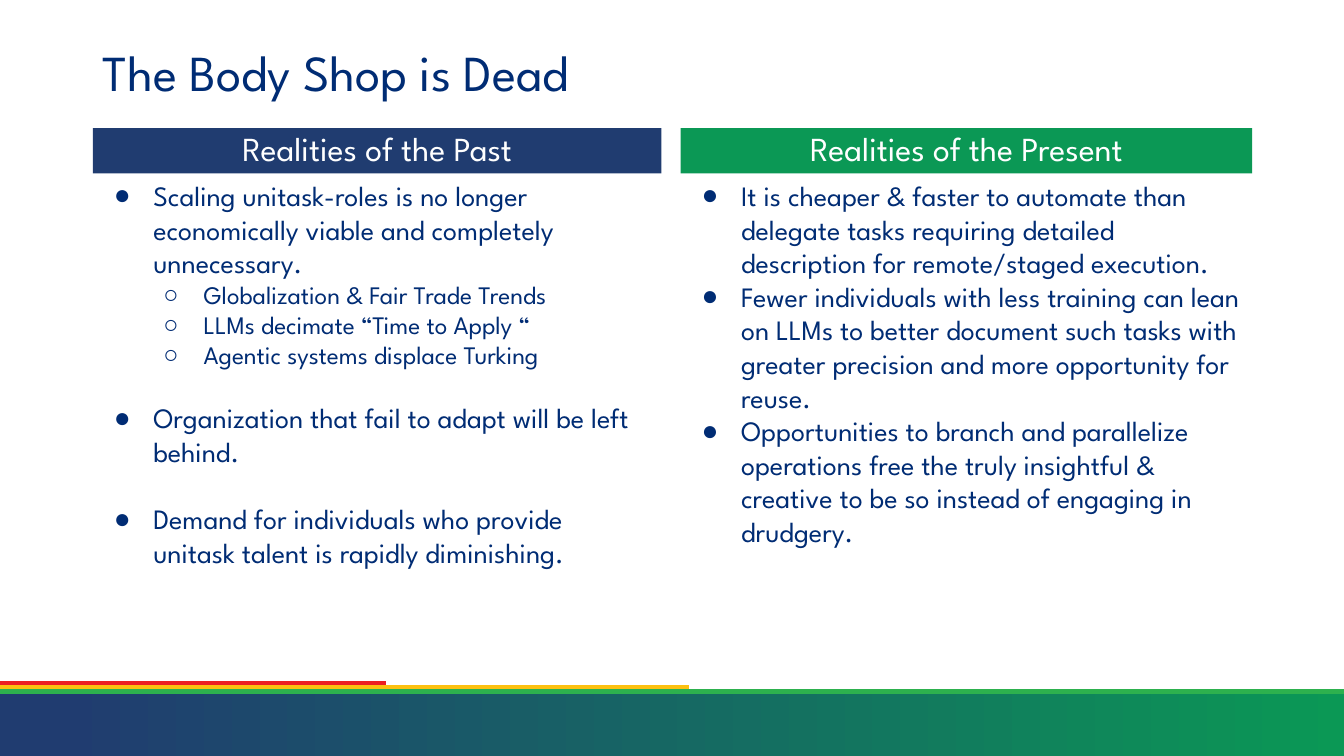
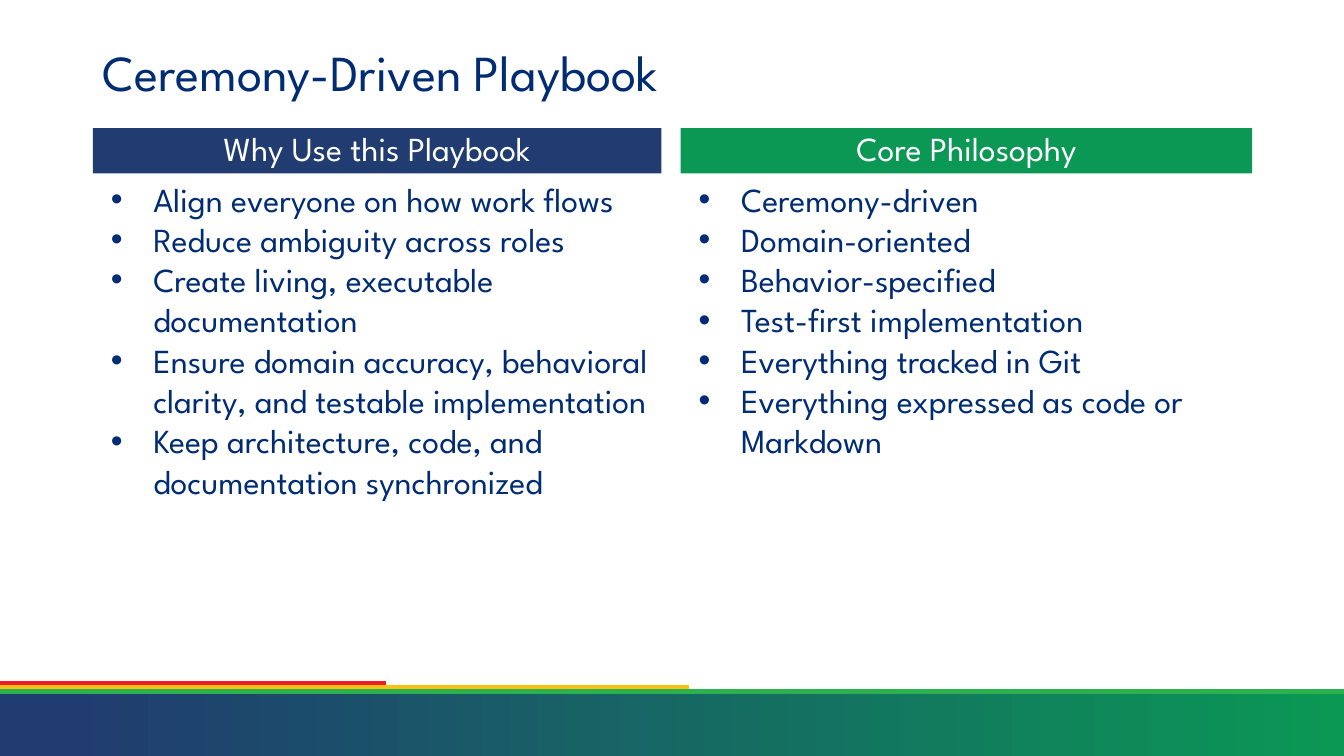
from dataclasses import dataclass

from lxml import etree
from pptx import Presentation
from pptx.dml.color import RGBColor
from pptx.enum import shapes, text
from pptx.oxml import ns
from pptx.util import Inches, Pt


@dataclass(frozen=True)
class Theme:
    font: str = "League Spartan"
    ink: RGBColor = RGBColor.from_string("002C74")
    navy: RGBColor = RGBColor.from_string("203C70")
    green: RGBColor = RGBColor.from_string("0B9855")
    white: RGBColor = RGBColor.from_string("FFFFFF")
    stripe_red: RGBColor = RGBColor.from_string("EC1E23")
    stripe_yellow: RGBColor = RGBColor.from_string("FCC010")
    stripe_green: RGBColor = RGBColor.from_string("2DB14E")
    title_size: int = 36
    header_size: int = 24
    large_size: int = 24
    body_size: int = 20
    sub_size: int = 18


theme = Theme()


def place(shape, left, top, width, height, anchor):
    shape.left, shape.top = Inches(left), Inches(top)
    shape.width, shape.height = Inches(width), Inches(height)
    frame = shape.text_frame
    frame.word_wrap = True
    frame.auto_size = text.MSO_AUTO_SIZE.NONE
    frame.vertical_anchor = anchor
    return frame


def write(paragraph, wording, size, color, alignment, line_spacing=1.0, space_before=0):
    paragraph.alignment = alignment
    paragraph.line_spacing = line_spacing
    paragraph.space_before = Pt(space_before)
    run = paragraph.add_run()
    run.text = wording
    run.font.name = theme.font
    run.font.size = Pt(size)
    run.font.bold = False
    run.font.color.rgb = color


round_bullet = dict(level=0, mark="●", margin=0.5, hanging=0.39, size=theme.body_size)
ring_bullet = dict(level=1, mark="○", margin=1, hanging=0.4, size=theme.sub_size)
dot_bullet = dict(level=0, mark="•", margin=0.5, hanging=0.42, size=theme.large_size)

deck = [
    ("The Body Shop is Dead", [
        ("Realities of the Past", [
            ("Scaling unitask-roles is no longer economically viable and completely unnecessary.", round_bullet, 0),
            ("Globalization & Fair Trade Trends", ring_bullet, 0),
            ("LLMs decimate “Time to Apply “", ring_bullet, 0),
            ("Agentic systems displace Turking", ring_bullet, 0),
            ("Organization that fail to adapt will be left behind.", round_bullet, 22),
            ("Demand for individuals who provide unitask talent is rapidly diminishing.", round_bullet, 24),
        ]),
        ("Realities of the Present", [
            ("It is cheaper & faster to automate than delegate tasks requiring detailed description for remote/staged execution.", round_bullet, 0),
            ("Fewer individuals with less training can lean on LLMs to better document such tasks with greater precision and more opportunity for reuse.", round_bullet, 0),
            ("Opportunities to branch and parallelize operations free the truly insightful & creative to be so instead of engaging in drudgery.", round_bullet, 0),
        ]),
    ]),
    ("Ceremony-Driven Playbook", [
        ("Why Use this Playbook", [
            ("Align everyone on how work flows", dot_bullet, 0),
            ("Reduce ambiguity across roles", dot_bullet, 0),
            ("Create living, executable documentation", dot_bullet, 0),
            ("Ensure domain accuracy, behavioral clarity, and testable implementation", dot_bullet, 0),
            ("Keep architecture, code, and documentation synchronized", dot_bullet, 0),
        ]),
        ("Core Philosophy", [
            ("Ceremony-driven", dot_bullet, 0),
            ("Domain-oriented", dot_bullet, 0),
            ("Behavior-specified", dot_bullet, 0),
            ("Test-first implementation", dot_bullet, 0),
            ("Everything tracked in Git", dot_bullet, 0),
            ("Everything expressed as code or Markdown", dot_bullet, 0),
        ]),
    ]),
]

columns = [
    dict(left=0.92, width=5.64, fill=theme.navy, header=1, body=2),
    dict(left=6.75, width=5.67, fill=theme.green, header=3, body=4),
]
stripes = [
    (6.78, 3.83, theme.stripe_red),
    (6.82, 6.83, theme.stripe_yellow),
    (6.86, 13.83, theme.stripe_green),
]

presentation = Presentation()
presentation.slide_width = Inches(13.33)
presentation.slide_height = Inches(7.5)
layout = presentation.slide_layouts.get_by_name("Comparison")
for placeholder in list(layout.placeholders):
    if placeholder.placeholder_format.idx >= 10:
        layout.shapes.element.remove(placeholder.element)

slides = [presentation.slides.add_slide(layout) for entry in deck]

footer_left = Inches(-0.17)
band = slides[0].shapes.add_shape(
    shapes.MSO_SHAPE.RECTANGLE, footer_left, Inches(6.85), Inches(13.52), Inches(0.7)
)
band.shadow.inherit = False
band.line.fill.background()
band.fill.gradient()
band.fill.gradient_angle = 0
for stop, position, color in zip(band.fill.gradient_stops, (0.06, 1), (theme.navy, theme.green)):
    stop.position = position
    stop.color.rgb = color
layout.shapes.element.append(band.element)

for top, right, color in stripes:
    stripe = slides[0].shapes.add_connector(
        shapes.MSO_CONNECTOR.STRAIGHT, footer_left, Inches(top), Inches(right), Inches(top)
    )
    stripe.line.color.rgb = color
    stripe.line.width = Pt(3)
    etree.SubElement(stripe.element.spPr, ns.qn("a:effectLst"))
    stripe.element.nvCxnSpPr.cNvPr.set("id", str(20 + len(layout.shapes)))
    layout.shapes.element.append(stripe.element)

for slide, (title, sections) in zip(slides, deck):
    frame = place(slide.shapes.title, 0.92, 0.4, 11.5, 0.7, text.MSO_ANCHOR.MIDDLE)
    write(frame.paragraphs[0], title, theme.title_size, theme.ink, text.PP_ALIGN.LEFT, 0.9)
    placeholders = {shape.placeholder_format.idx: shape for shape in slide.placeholders}

    for column, (heading, items) in zip(columns, sections):
        header = placeholders[column["header"]]
        frame = place(header, column["left"], 1.27, column["width"], 0.45, text.MSO_ANCHOR.BOTTOM)
        header.fill.solid()
        header.fill.fore_color.rgb = column["fill"]
        write(frame.paragraphs[0], heading, theme.header_size, theme.white, text.PP_ALIGN.CENTER, 0.8)

        body = placeholders[column["body"]]
        frame = place(body, column["left"], 1.72, column["width"], 4.95, text.MSO_ANCHOR.TOP)
        for index, (wording, bullet, space_before) in enumerate(items):
            paragraph = frame.add_paragraph() if index else frame.paragraphs[0]
            paragraph.level = bullet["level"]
            properties = paragraph._p.get_or_add_pPr()
            properties.set("marL", str(Inches(bullet["margin"])))
            properties.set("indent", str(-Inches(bullet["hanging"])))
            bullet_color = etree.SubElement(properties, ns.qn("a:buClr"))
            etree.SubElement(bullet_color, ns.qn("a:srgbClr"), val=str(theme.ink))
            etree.SubElement(properties, ns.qn("a:buChar"), char=bullet["mark"])
            write(paragraph, wording, bullet["size"], theme.ink, text.PP_ALIGN.LEFT, space_before=space_before)

presentation.save("out.pptx")
